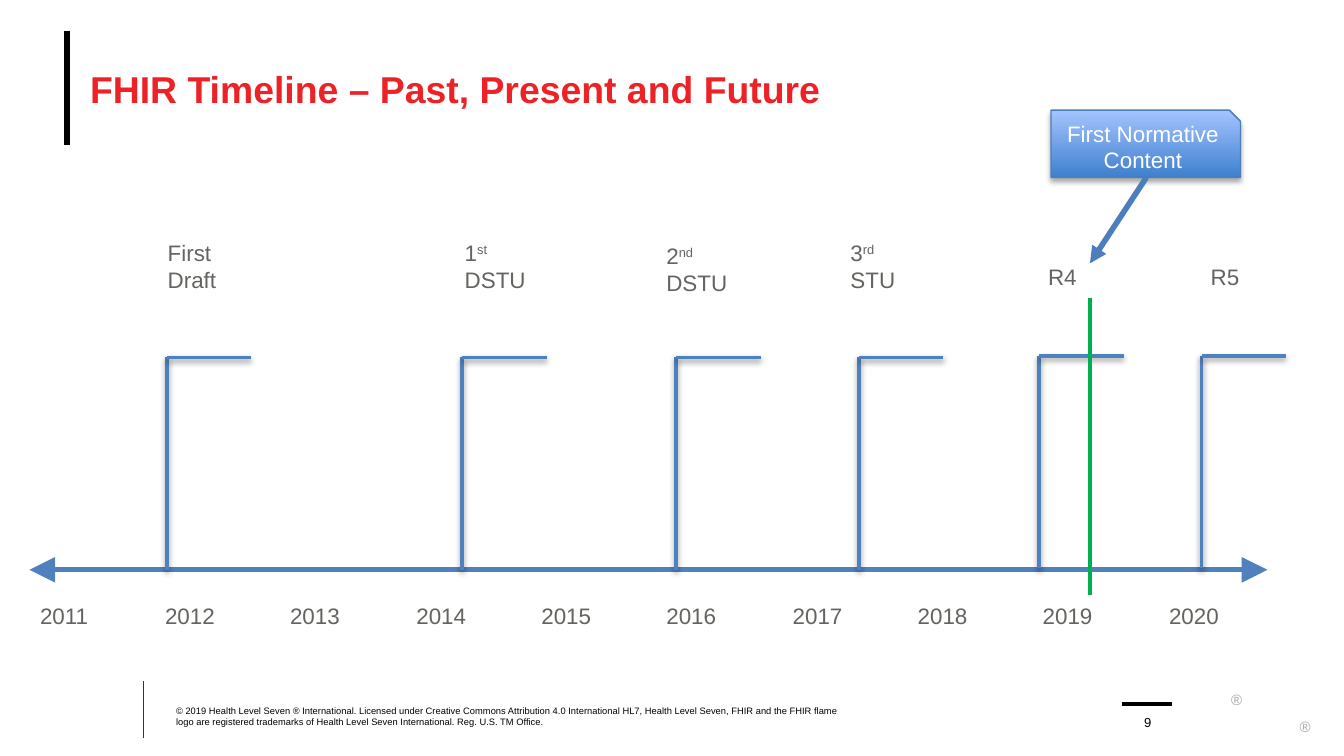
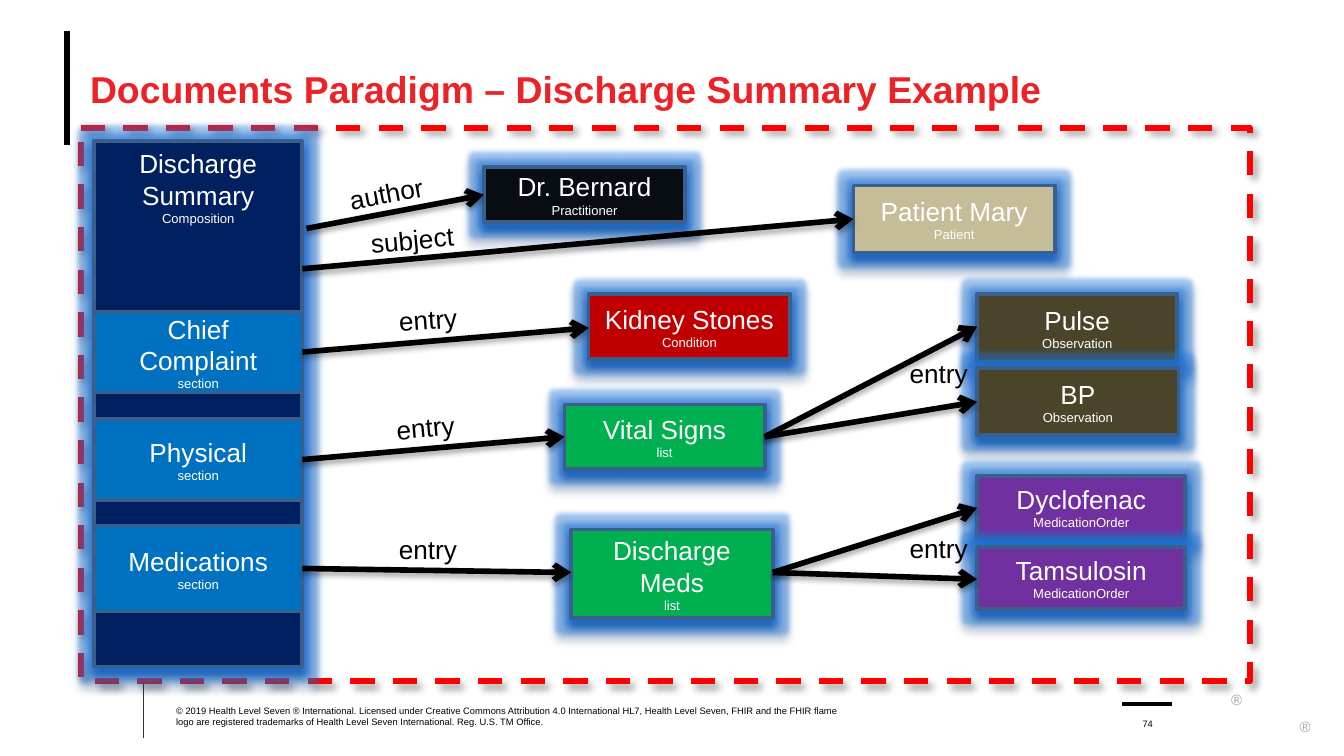
"""Builds two FHIR slides: a release timeline and a document example."""
from typing import Any, NamedTuple, Optional

import lxml.etree
import pptx
import pptx.dml.color
import pptx.enum.dml
import pptx.enum.shapes
import pptx.enum.text
import pptx.oxml.ns
import pptx.util

PX = 9144
FONT = "Arial"
BLACK, WHITE, RED, GRAY = "000000", "FFFFFF", "EC2227", "636360"
BLUE, CALLOUT_BLUE, BORDER = "4F81BD", "4B7EBC", "3A5F8C"
GREEN, OLIVE, PURPLE, NAVY, SECTION_BLUE = "00B050", "4A452A", "7030A0", "002060", "0070C0"

ANCHOR = pptx.enum.text.MSO_ANCHOR
ALIGN = pptx.enum.text.PP_ALIGN
GROW = pptx.enum.text.MSO_AUTO_SIZE.SHAPE_TO_FIT_TEXT
SHAPE = pptx.enum.shapes.MSO_SHAPE
MARGINS = ("margin_left", "margin_top", "margin_right", "margin_bottom")
FLUSH = {"word_wrap": True, **dict.fromkeys(MARGINS, 0)}
LABEL = {"word_wrap": False, "auto_size": GROW}
ROLE_LABEL = {"word_wrap": True, "auto_size": GROW}
CENTERED = {"word_wrap": True, "vertical_anchor": ANCHOR.MIDDLE}

COPYRIGHT = (
    "© 2019 Health Level Seven ® International. Licensed under Creative Commons "
    "Attribution 4.0 International HL7, Health Level Seven, FHIR and the FHIR flame logo are "
    "registered trademarks of Health Level Seven International. Reg. U.S. TM Office."
)


class Area(NamedTuple):
    """A rectangle in px."""
    left: int
    top: int
    width: int
    height: int


class Run(NamedTuple):
    """Text of one size, optionally raised."""
    text: str
    size: int
    raised: bool = False


class Shadow(NamedTuple):
    """An outer shadow: percent opacity, points and degrees."""
    color: str
    opacity: int
    blur: float
    distance: float
    angle: int


class Release(NamedTuple):
    """One FHIR release flag on the timeline."""
    lines: list[list[Run]]
    label: Area
    pole: int
    top: int


class Resource(NamedTuple):
    """One resource box of the document."""
    title: str
    kind: str
    area: Area
    color: str


class Reference(NamedTuple):
    """An arrow between resources."""
    x1: int
    y1: int
    x2: int
    y2: int


class Role(NamedTuple):
    """The caption of a reference."""
    text: str
    area: Area
    rotation: float = 0


FLAG_SHADOW = Shadow(BLACK, 38, 3.1, 1.6, 90)
SOFT_SHADOW = Shadow(BLACK, 35, 3.1, 1.8, 90)
FRAME_SHADOW = Shadow(BLACK, 40, 4, 3, 45)
BOX_SHADOW = Shadow("23518B", 100, 4, 4, 90)
GLOW_COLOR, GLOW_OPACITY, GLOW_RADIUS = "1F77E0", 40, 5

RELEASES = [
    Release([[Run("First\vDraft", 12)]], Area(115, 173, 57, 50), 124, 266),
    Release([[Run("1", 12), Run("st", 12, True)], [Run("DSTU", 12)]], Area(336, 173, 66, 50), 344, 266),
    Release([[Run("2", 12), Run("nd", 12, True)], [Run("DSTU", 12)]], Area(486, 175, 66, 50), 503, 266),
    Release([[Run("3", 12), Run("rd", 12, True)], [Run("STU", 12)]], Area(623, 173, 54, 50), 639, 266),
    Release([[Run("R4", 12)]], Area(770, 191, 42, 30), 773, 265),
    Release([[Run("R5", 12)]], Area(891, 191, 42, 30), 894, 265),
]
RESOURCES = [
    Resource("Dr. Bernard", "Practitioner", Area(360, 124, 150, 41), "070D13"),
    Resource("Patient Mary", "Patient", Area(635, 138, 150, 50), "C4BD97"),
    Resource("Discharge Meds", "list", Area(425, 394, 150, 66), GREEN),
    Resource("Vital Signs", "list", Area(420, 301, 149, 48), GREEN),
    Resource("Pulse", "Observation", Area(727, 219, 149, 50), OLIVE),
    Resource("BP", "Observation", Area(727, 274, 150, 50), OLIVE),
    Resource("Dyclofenac", "MedicationOrder", Area(727, 354, 155, 46), PURPLE),
    Resource("Tamsulosin", "MedicationOrder", Area(727, 407, 155, 46), PURPLE),
    Resource("Kidney Stones", "Condition", Area(438, 219, 150, 48), "C00000"),
]
SECTIONS = [
    Resource("Chief Complaint", "section", Area(70, 232, 155, 60), SECTION_BLUE),
    Resource("Physical", "section", Area(70, 312, 155, 60), SECTION_BLUE),
    Resource("Medications", "section", Area(70, 391, 155, 64), SECTION_BLUE),
]
REFERENCES = [
    Reference(228, 170, 360, 145), Reference(225, 200, 635, 163),
    Reference(225, 262, 438, 244), Reference(225, 342, 420, 325),
    Reference(225, 423, 425, 426), Reference(569, 325, 727, 243),
    Reference(569, 325, 727, 299), Reference(575, 426, 727, 378),
    Reference(575, 426, 727, 431),
]
ROLES = [
    Role("subject", Area(266, 161, 94, 34), 354.6),
    Role("author", Area(250, 127, 76, 34), 349.2),
    Role("entry", Area(287, 221, 67, 34), 356),
    Role("entry", Area(285, 301, 69, 34), 354.7),
    Role("entry", Area(287, 392, 70, 34)),
    Role("entry", Area(667, 261, 74, 34)),
    Role("entry", Area(667, 391, 73, 34)),
]


def rgb(color: str) -> pptx.dml.color.RGBColor:
    """Turn a hex string into a colour."""
    return pptx.dml.color.RGBColor.from_string(color)


def emu(*lengths: int) -> list[int]:
    """Scale px to EMU."""
    return [length * PX for length in lengths]


def apply(target: Any, values: dict[str, Any]) -> None:
    """Set every format value on the target."""
    for name, value in values.items():
        setattr(target, name, value)


def child(parent: Any, tag: str, **attributes: Any) -> Any:
    """Add a drawing element with attributes."""
    values = {name: str(value) for name, value in attributes.items()}
    return lxml.etree.SubElement(parent, pptx.oxml.ns.qn(tag), values)


def tint(parent: Any, color: str, opacity: int) -> None:
    """Give an effect its colour and opacity."""
    child(child(parent, "a:srgbClr", val=color), "a:alpha", val=opacity * 1000)


def add_effects(shape: Any, shadow: Optional[Shadow], glow: bool = False) -> None:
    """Replace the theme effects with the given ones."""
    properties = shape._element.spPr
    effects = properties.find(pptx.oxml.ns.qn("a:effectLst"))
    if effects is None:
        effects = child(properties, "a:effectLst")
    if glow:
        tint(child(effects, "a:glow", rad=GLOW_RADIUS * 12700), GLOW_COLOR, GLOW_OPACITY)
    if shadow:
        outer = child(effects, "a:outerShdw", blurRad=round(shadow.blur * 12700),
                      dist=round(shadow.distance * 12700), dir=shadow.angle * 60000, rotWithShape=0)
        tint(outer, shadow.color, shadow.opacity)


def write(frame: Any, lines: list[list[Run]], color: str, layout: dict[str, Any],
          align: Any = ALIGN.LEFT, bold: bool = False) -> None:
    """Fill a text frame with formatted paragraphs."""
    apply(frame, layout)
    for index, line in enumerate(lines):
        paragraph = frame.add_paragraph() if index else frame.paragraphs[0]
        paragraph.alignment = align
        for part in line:
            for piece_index, piece in enumerate(part.text.split("\v")):
                if piece_index:
                    paragraph.add_line_break()
                if not piece:
                    continue
                run = paragraph.add_run()
                run.text = piece
                apply(run.font, {"name": FONT, "size": pptx.util.Pt(part.size), "bold": bold})
                run.font.color.rgb = rgb(color)
                if part.raised:
                    run._r.get_or_add_rPr().set("baseline", "30000")


def add_text(slide: Any, area: Area, lines: list[list[Run]], color: str,
             layout: dict[str, Any], **style: Any) -> Any:
    """Add a text box."""
    box = slide.shapes.add_textbox(*emu(*area))
    write(box.text_frame, lines, color, layout, **style)
    return box


def add_line(slide: Any, ends: tuple[int, int, int, int], color: str, width: float,
             shadow: Optional[Shadow] = None, head: str = "", tail: str = "",
             tip: str = "med") -> None:
    """Add a straight line, with arrowheads when named."""
    line = slide.shapes.add_connector(pptx.enum.shapes.MSO_CONNECTOR.STRAIGHT, *emu(*ends))
    line.line.color.rgb = rgb(color)
    line.line.width = pptx.util.Pt(width)
    outline = line._element.spPr.find(pptx.oxml.ns.qn("a:ln"))
    for tag, kind in (("a:headEnd", head), ("a:tailEnd", tail)):
        if kind:
            child(outline, tag, type=kind, w=tip, len=tip)
    add_effects(line, shadow)


def add_panel(slide: Any, preset: Any, area: Area, fill: Optional[str], border: str,
              width: float, shadow: Optional[Shadow] = None, glow: bool = False) -> Any:
    """Add a preset shape with its fill, border and effects."""
    panel = slide.shapes.add_shape(preset, *emu(*area))
    if fill:
        panel.fill.solid()
        panel.fill.fore_color.rgb = rgb(fill)
    else:
        panel.fill.background()
    panel.line.color.rgb = rgb(border)
    panel.line.width = pptx.util.Pt(width)
    panel.shadow.inherit = False
    add_effects(panel, shadow, glow)
    return panel


def add_resource(slide: Any, resource: Resource, preset: Any, raised: bool) -> None:
    """Add a resource box with its title above its kind."""
    box = add_panel(slide, preset, resource.area, resource.color, BORDER, 2,
                    BOX_SHADOW if raised else None, raised)
    lines = [[Run(resource.title + "\v", 14), Run(resource.kind, 7)]]
    write(box.text_frame, lines, WHITE, CENTERED, ALIGN.CENTER)


def start_slide(deck: Any, title: str, number: str, number_size: int) -> Any:
    """Add a slide with the shared title, rules and footer."""
    slide = deck.slides.add_slide(deck.slide_layouts[6])
    add_line(slide, (107, 507, 107, 549), "3D3029", 0.5)
    add_line(slide, (50, 23, 50, 108), BLACK, 3.25)
    for area in (Area(916, 510, 11, 9), Area(967, 530, 9, 9)):
        add_text(slide, area, [[Run("®", 8)]], "A6A6A6", {**FLUSH, "margin_top": 4 * PX})
    add_line(slide, (835, 524, 872, 524), BLACK, 2)
    add_text(slide, Area(67, 23, 900, 86), [[Run(title, 20)]], RED,
             {**FLUSH, "vertical_anchor": ANCHOR.MIDDLE}, bold=True)
    footer = {**FLUSH, "vertical_anchor": ANCHOR.BOTTOM}
    add_text(slide, Area(839, 524, 30, 19), [[Run(number, number_size)]], BLACK, footer, align=ALIGN.CENTER)
    add_text(slide, Area(131, 524, 495, 17), [[Run(COPYRIGHT, 5)]], BLACK, footer)
    return slide


def build_timeline(deck: Any) -> None:
    """Draw the FHIR release timeline."""
    slide = start_slide(deck, "FHIR Timeline – Past, Present and Future", "9", 7)
    add_line(slide, (22, 424, 943, 424), BLUE, 2.75, head="triangle", tail="triangle", tip="lg")
    for index, year in enumerate(range(2011, 2021)):
        add_text(slide, Area(20 + index * 280 // 3, 443, 57, 30), [[Run(str(year), 12)]], GRAY, LABEL)
    for release in RELEASES:
        add_text(slide, release.label, release.lines, GRAY, LABEL)
        pole, top = release.pole, release.top
        for ends in ((pole, top, pole, top + 158), (pole, top, pole + 63, top)):
            add_line(slide, ends, BLUE, 2, FLAG_SHADOW)
    add_line(slide, (811, 222, 811, 443), GREEN, 2)
    normative = add_panel(slide, SHAPE.SNIP_1_RECTANGLE, Area(782, 82, 141, 50), None,
                          CALLOUT_BLUE, 0.75, SOFT_SHADOW)
    normative.fill.gradient()
    normative.fill.gradient_angle = 90
    for stop, color in zip(normative.fill.gradient_stops, ("3F80CE", "A4C4FF")):
        stop.color.rgb = rgb(color)
    write(normative.text_frame, [[Run("First Normative Content", 12)]], WHITE, CENTERED, ALIGN.CENTER)
    add_line(slide, (811, 196, 853, 132), CALLOUT_BLUE, 3, head="triangle")


def build_document(deck: Any) -> None:
    """Draw the discharge summary and its references."""
    slide = start_slide(deck, "Documents Paradigm – Discharge Summary Example", "74", 5)
    bundle = add_panel(slide, SHAPE.FLOWCHART_PROCESS, Area(60, 95, 870, 412), None,
                       "FF0000", 3.25, FRAME_SHADOW)
    bundle.line.dash_style = pptx.enum.dml.MSO_LINE.DASH
    for resource in RESOURCES:
        add_resource(slide, resource, SHAPE.RECTANGLE, True)
    summary = add_panel(slide, SHAPE.RECTANGLE, Area(70, 105, 155, 391), NAVY, BORDER, 2, BOX_SHADOW, True)
    lines = [[Run("Discharge", 14)], [Run("Summary\v", 14), Run("Composition", 7)]]
    write(summary.text_frame, lines, WHITE, {**CENTERED, "vertical_anchor": ANCHOR.TOP}, ALIGN.CENTER)
    for section in SECTIONS:
        add_resource(slide, section, SHAPE.FLOWCHART_PROCESS, False)
    for reference in REFERENCES:
        add_line(slide, reference, BLACK, 3, SOFT_SHADOW, tail="arrow")
    for role in ROLES:
        caption = add_text(slide, role.area, [[Run(role.text, 14)]], BLACK, ROLE_LABEL)
        caption.rotation = role.rotation


def main() -> None:
    """Build and save the deck."""
    deck = pptx.Presentation()
    deck.slide_width = 1000 * PX
    deck.slide_height = deck.slide_width * 9 // 16
    build_timeline(deck)
    build_document(deck)
    deck.save("out.pptx")


if __name__ == "__main__":
    main()
